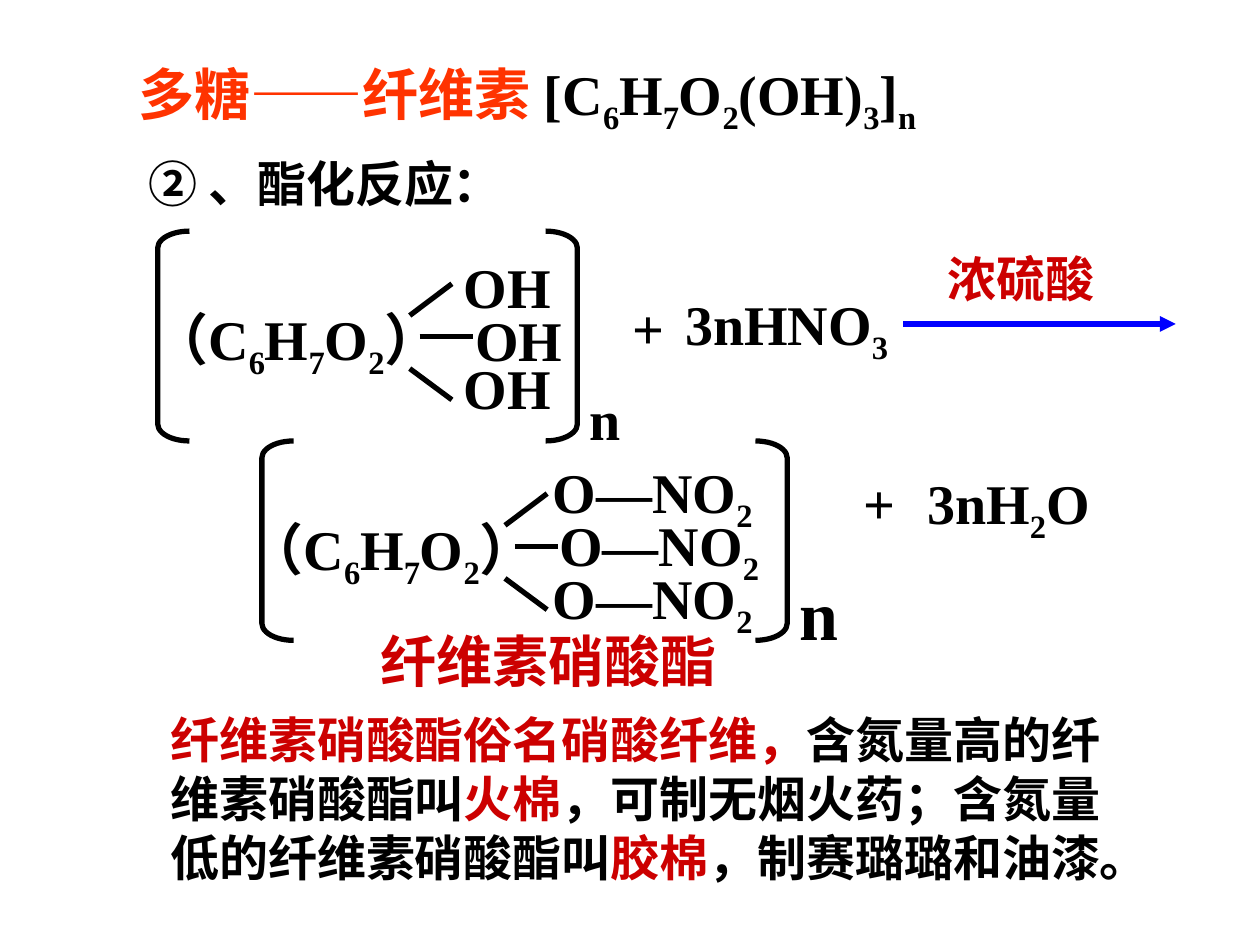
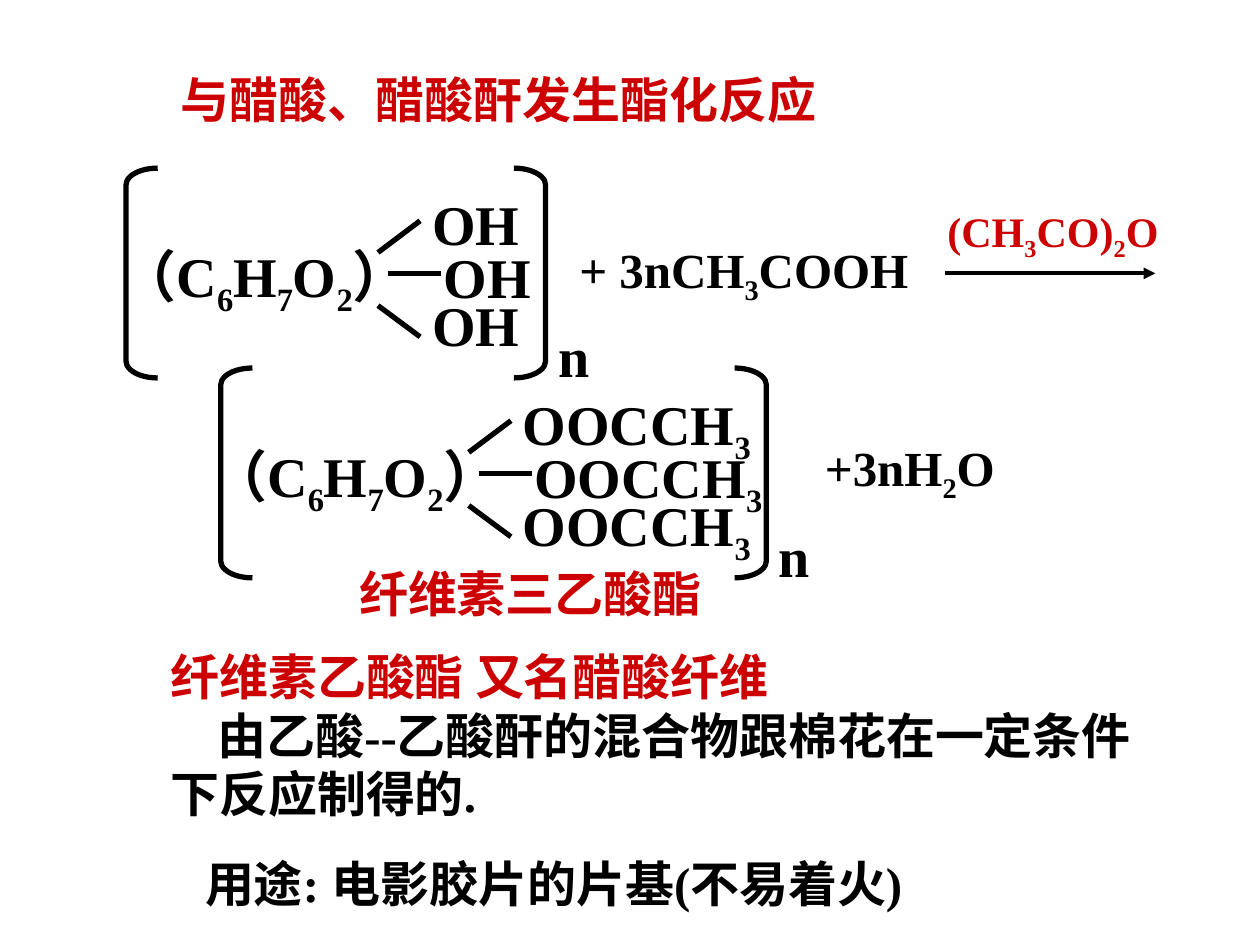
from lxml import etree
from pptx import Presentation
from pptx.dml.color import RGBColor
from pptx.enum.shapes import MSO_CONNECTOR, MSO_SHAPE
from pptx.enum.text import MSO_ANCHOR, MSO_AUTO_SIZE, PP_ALIGN
from pptx.oxml.ns import qn
from pptx.util import Cm, Pt

STRAIGHT = MSO_CONNECTOR.STRAIGHT
BRACKETS = (MSO_SHAPE.LEFT_BRACKET, MSO_SHAPE.RIGHT_BRACKET)
FONT = "Times New Roman"
BLACK, RED, ORANGE, BLUE = "000000", "CC0000", "FF3300", "0000FF"

# All places are in cm. A run is (text, colour); "_" lowers the next character.
# A paragraph is (runs, first-line indent, space before in points).
# A label is (text, colour, size, left, top, width).
CORE = "（C_6H_7O_2）"
REACTANT = dict(width=8.46, height=4.23, shift=0, groups="OH", group_gap=0,
                group_step=0.23, group_tops=(0.3, 1.37, 2.34), dash=1.07,
                n_top=2.97, n_size=32)
NITRATE = dict(REACTANT, width=10.59, height=4.02, shift=-0.18, groups="O—NO_2",
               group_gap=-0.13, group_step=0.13, group_tops=(0.2, 1.27, 2.34),
               dash=0.86, n_top=2.49, n_size=40)
ACETATE = dict(REACTANT, width=11, shift=-0.08, groups="OOCCH_3")

SLIDES = [
    dict(
        title=([("多糖——纤维素 ", ORANGE), ("[C_6H_7O_2(OH)_3]_n", BLACK)],
               32, (2.54, 1.07, 21.8, 1.8)),
        body=([([("纤维素硝酸酯俗名硝酸纤维，", RED),
                 ("含氮量高的纤维素硝酸酯叫", BLACK), ("火棉", RED),
                 ("，可制无烟火药；含氮量低的纤维素硝酸酯叫", BLACK),
                 ("胶棉", RED), ("，制赛璐璐和油漆。", BLACK)], 0, 0)],
              (3.18, 14.18, 19.9, 4.8)),
        molecules=[(REACTANT, 3.18, 4.66), (NITRATE, 5.28, 8.89)],
        labels=[
            ("② 、酯化反应：", BLACK, 28, 2.74, 2.97, 10.16),
            ("+", BLACK, 32, 12.5, 5.79, 1.4),
            ("3nHNO_3", BLACK, 32, 13.56, 5.72, 4.8),
            ("浓硫酸", RED, 28, 18.85, 4.88, 4.45),
            ("+", BLACK, 32, 17.15, 9.32, 1.4),
            ("3nH_2O", BLACK, 32, 18.44, 9.32, 4),
            ("纤维素硝酸酯", RED, 32, 7.42, 12.5, 8.05),
        ],
        arrow=(18.21, 23.7, 6.53, BLUE, 3),
    ),
    dict(
        title=([("与醋酸、醋酸酐发生酯化反应", RED)], 28, (3.38, 1.27, 15.67, 1.45)),
        body=([([("纤维素乙酸酯 又名醋酸纤维", RED)], 0, 0),
               ([("由乙酸--乙酸酐的混合物跟棉花在一定条件下反应制得的.", BLACK)], 0.95, 0),
               ([("用途: 电影胶片的片基(不易着火)", BLACK)], 0.7, 17.5)],
              (3.18, 12.9, 20.75, 5.6)),
        molecules=[(REACTANT, 2.54, 3.39), (ACETATE, 4.45, 7.42)],
        labels=[
            ("+ 3nCH_3COOH", BLACK, 28, 11.43, 4.7, 8.69),
            ("(CH_3CO)_2O", RED, 24, 18.85, 4.01, 5.92),
            ("+3nH_2O", BLACK, 28, 16.38, 8.69, 6),
            ("纤维素三乙酸酯", RED, 28, 6.99, 11.23, 8.05),
        ],
        arrow=(19.05, 23.29, 5.51, BLACK, 2.25),
    ),
]


def color(hex_string):
    return RGBColor.from_string(hex_string)


def place(shape, left, top, width, height):
    shape.left, shape.top, shape.width, shape.height = map(Cm, (left, top, width, height))


def add_runs(paragraph, runs, size):
    paragraph.font.name, paragraph.font.size, paragraph.font.bold = FONT, Pt(size), True
    for text, hex_string in runs:
        first, *lowered = text.split("_")
        pieces = [(first, False)]
        for piece in lowered:
            pieces += [(piece[0], True), (piece[1:], False)]
        for piece, is_subscript in pieces:
            if piece:
                run = paragraph.add_run()
                run.text = piece
                run.font.color.rgb = color(hex_string)
                if is_subscript:
                    run._r.get_or_add_rPr().set("baseline", "-25000")


def fill_frame(frame, paragraphs, size):
    frame.word_wrap = True
    frame.auto_size = MSO_AUTO_SIZE.NONE
    frame.vertical_anchor = MSO_ANCHOR.TOP
    for number, (runs, indent, space_before) in enumerate(paragraphs):
        paragraph = frame.add_paragraph() if number else frame.paragraphs[0]
        paragraph.alignment = PP_ALIGN.LEFT
        paragraph.space_before = Pt(space_before)
        properties = paragraph._p.get_or_add_pPr()
        properties.set("marL", "0")
        properties.set("indent", str(Cm(indent)))
        etree.SubElement(properties, qn("a:buNone"))
        add_runs(paragraph, runs, size)


def add_label(slide, text, hex_string, size, left, top, width):
    box = slide.shapes.add_textbox(Cm(left), Cm(top), Cm(width), Cm(1.6))
    fill_frame(box.text_frame, [([(text, hex_string)], 0, 0)], size)


def add_line(slide, start, end, hex_string=BLACK, weight=3, arrowhead=False):
    line = slide.shapes.add_connector(STRAIGHT, *map(Cm, (*start, *end)))
    line.line.color.rgb = color(hex_string)
    line.line.width = Pt(weight)
    if arrowhead:
        etree.SubElement(line.line._get_or_add_ln(), qn("a:tailEnd"), type="triangle")
    etree.SubElement(line._element.spPr, qn("a:effectLst"))


def add_molecule(slide, parts, left, top):
    """Draw the bracketed core with its three groups, from the bracket's top left."""
    width, height = parts["width"], parts["height"]
    depth = 0.64
    for kind, x in zip(BRACKETS, (left, left + width - depth)):
        bracket = slide.shapes.add_shape(kind, Cm(x), Cm(top), Cm(depth), Cm(height))
        bracket.adjustments[0] = 0.53
        bracket.shadow.inherit = False
        bracket.fill.background()
        bracket.line.color.rgb = color(BLACK)
        bracket.line.width = Pt(3)

    x = left + parts["shift"]
    add_label(slide, CORE, BLACK, 32, x - 0.36, top + 1.36, 7)
    for start, end in ((1.7, 1.06), (2.77, 3.4)):
        add_line(slide, (x + 5.08, top + start), (x + 5.93, top + end))
    add_line(slide, (x + 5.28, top + 2.12), (x + 5.28 + parts["dash"], top + 2.12))

    group_left = x + 5.92 + parts["group_gap"]
    for row, group_top in enumerate(parts["group_tops"]):
        step = parts["group_step"] if row == 1 else 0
        add_label(slide, parts["groups"], BLACK, 32, group_left + step, top + group_top, 5.8)
    add_label(slide, "n", BLACK, parts["n_size"], left + width, top + parts["n_top"], 1.4)


def build_slide(deck, content):
    slide = deck.slides.add_slide(deck.slide_layouts[1])
    title_runs, title_size, title_place = content["title"]
    place(slide.shapes.title, *title_place)
    fill_frame(slide.shapes.title.text_frame, [(title_runs, 0, 0)], title_size)

    paragraphs, body_place = content["body"]
    body = slide.placeholders[1]
    place(body, *body_place)
    fill_frame(body.text_frame, paragraphs, 28)

    for molecule in content["molecules"]:
        add_molecule(slide, *molecule)
    for label in content["labels"]:
        add_label(slide, *label)
    start, end, level, hex_string, weight = content["arrow"]
    add_line(slide, (start, level), (end, level), hex_string, weight, arrowhead=True)


def main():
    deck = Presentation()
    deck.slide_width, deck.slide_height = Cm(25.4), Cm(19.05)
    for content in SLIDES:
        build_slide(deck, content)
    deck.save("out.pptx")


if __name__ == "__main__":
    main()
